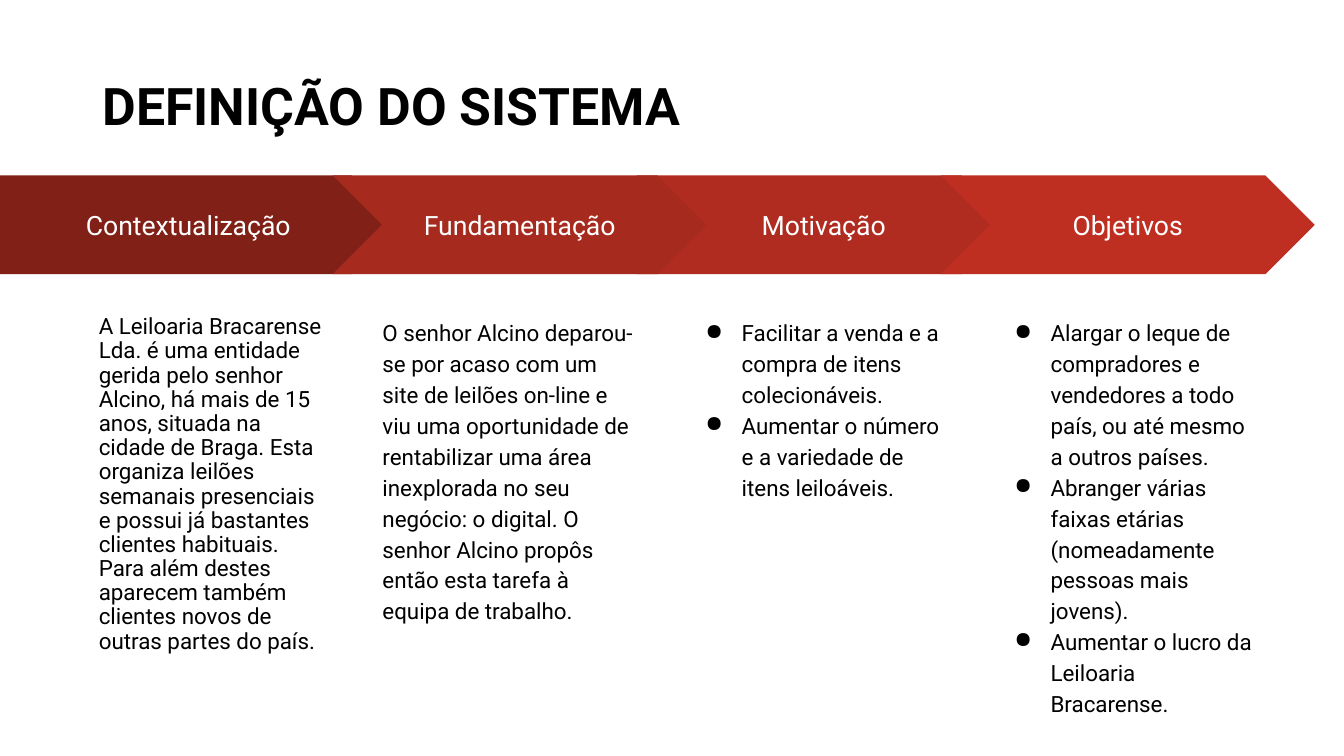
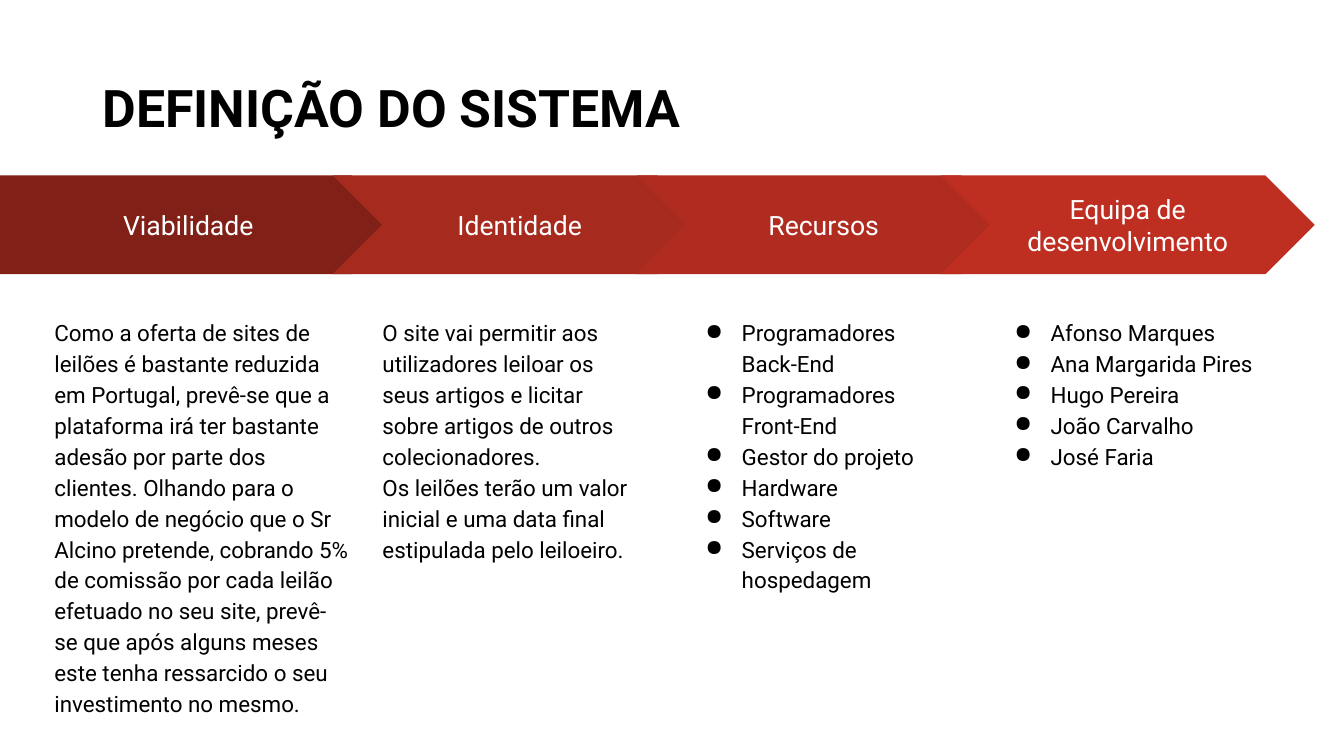
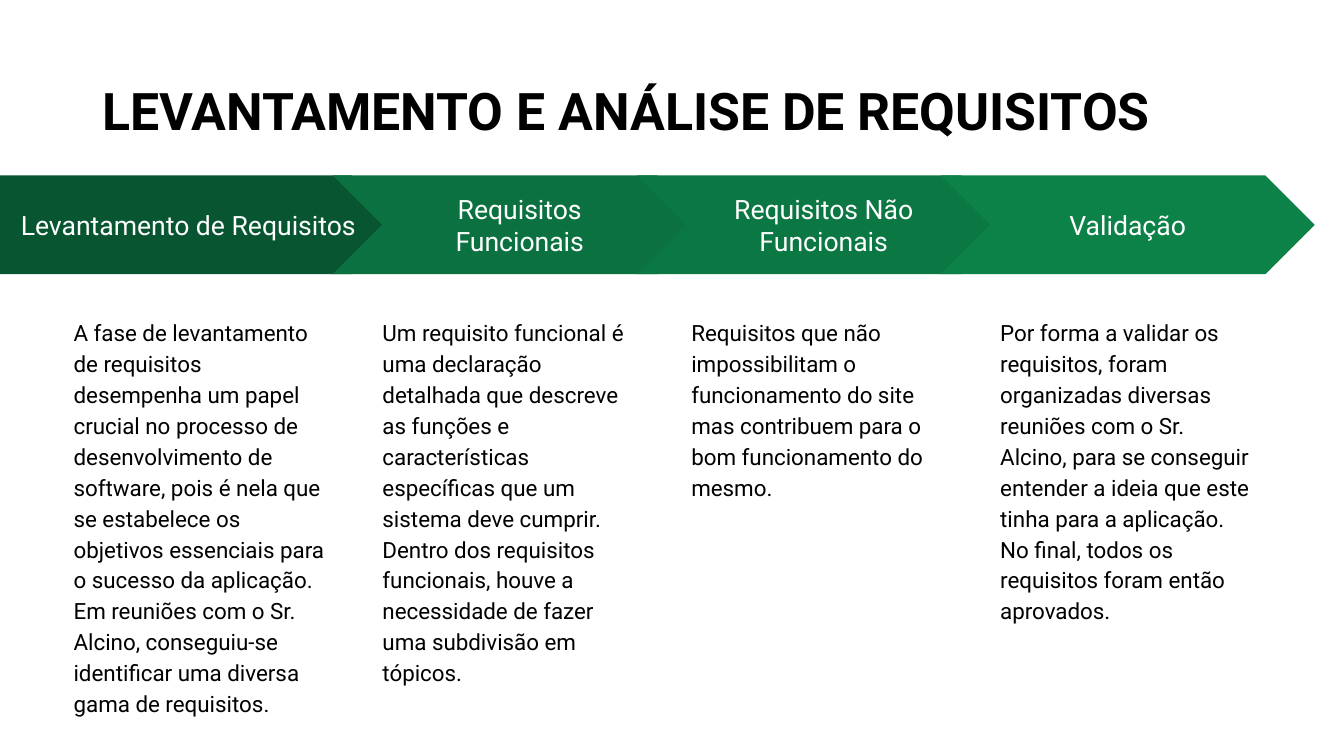
"""Builds three process slides with a title, an arrow band and four text columns."""
from lxml import etree
from pptx import Presentation
from pptx.dml.color import RGBColor
from pptx.enum.shapes import MSO_SHAPE
from pptx.enum.text import MSO_ANCHOR, PP_ALIGN
from pptx.oxml.ns import qn
from pptx.util import Inches, Pt

PENTAGON, CHEVRON = MSO_SHAPE.PENTAGON, MSO_SHAPE.CHEVRON
TOP, MIDDLE = MSO_ANCHOR.TOP, MSO_ANCHOR.MIDDLE
LEFT, CENTER = PP_ALIGN.LEFT, PP_ALIGN.CENTER

FONT = "Roboto"
BLACK = RGBColor(0x00, 0x00, 0x00)
WHITE = RGBColor(0xFF, 0xFF, 0xFF)
REDS = [RGBColor(0x80, 0x20, 0x17), RGBColor(0xA7, 0x2A, 0x1E),
        RGBColor(0xB0, 0x2C, 0x20), RGBColor(0xBE, 0x2F, 0x22)]
GREENS = [RGBColor(0x08, 0x56, 0x31), RGBColor(0x0B, 0x71, 0x40),
          RGBColor(0x0B, 0x77, 0x43), RGBColor(0x0C, 0x81, 0x48)]

BAND_TOP, BAND_HEIGHT = 1.74, 0.98
PLATE_WIDTH, CHEVRON_WIDTH = 3.98, 3.71
FIRST_CHEVRON, LAST_CHEVRON = 3.3, 9.33
FIRST_COLUMN, LAST_COLUMN = 0.6, 9.79
COLUMN_TOP, COLUMN_WIDTH, COLUMN_HEIGHT = 3, 2.78, 3.81

SLIDES = [
    {"title": "DEFINIÇÃO DO SISTEMA", "title_top": 0.35, "colors": REDS,
     "stacking": (0, 2, 3, 1),
     "columns": [
         {"heading": "Contextualização", "spacing": 0.9, "indent": 0.25,
          "text": ["A Leiloaria Bracarense Lda. é uma entidade gerida pelo senhor Alcino, "
                   "há mais de 15 anos, situada na cidade de Braga. Esta organiza leilões "
                   "semanais presenciais e possui já bastantes clientes habituais. Para além "
                   "destes aparecem também clientes novos de outras partes do país."]},
         {"heading": "Fundamentação",
          "text": ["O senhor Alcino deparou-se por acaso com um site de leilões on-line e viu "
                   "uma oportunidade de rentabilizar uma área inexplorada no seu negócio: "
                   "o digital. O senhor Alcino propôs então esta tarefa à equipa de trabalho."]},
         {"heading": "Motivação", "bullets": True,
          "text": ["Facilitar a venda e a compra de itens colecionáveis.",
                   "Aumentar o número e a variedade de itens leiloáveis."]},
         {"heading": "Objetivos", "bullets": True,
          "text": ["Alargar o leque de compradores e vendedores a todo país, ou até mesmo a "
                   "outros países.",
                   "Abranger várias faixas etárias (nomeadamente pessoas mais jovens).",
                   "Aumentar o lucro da Leiloaria Bracarense."]},
     ]},
    {"title": "DEFINIÇÃO DO SISTEMA", "title_top": 0.37, "colors": REDS,
     "stacking": (0, 1, 2, 3),
     "columns": [
         {"heading": "Viabilidade", "left": 0.41, "width": 3.19,
          "text": ["Como a oferta de sites de leilões é bastante reduzida em Portugal, prevê-se "
                   "que a plataforma irá ter bastante adesão por parte dos clientes. Olhando "
                   "para o modelo de negócio que o Sr Alcino pretende, cobrando 5% de comissão "
                   "por cada leilão efetuado no seu site, prevê-se que após alguns meses este "
                   "tenha ressarcido o seu investimento no mesmo."]},
         {"heading": "Identidade",
          "text": ["O site vai permitir aos utilizadores leiloar os seus artigos e licitar "
                   "sobre artigos de outros colecionadores.",
                   "Os leilões terão um valor inicial e uma data final estipulada pelo "
                   "leiloeiro."]},
         {"heading": "Recursos", "bullets": True,
          "text": ["Programadores Back-End", "Programadores Front-End", "Gestor do projeto",
                   "Hardware", "Software", "Serviços de hospedagem"]},
         {"heading": "Equipa de desenvolvimento", "bullets": True,
          "text": ["Afonso Marques", "Ana Margarida Pires", "Hugo Pereira", "João Carvalho",
                   "José Faria"]},
     ]},
    {"title": "LEVANTAMENTO E ANÁLISE DE REQUISITOS", "title_top": 0.4, "colors": GREENS,
     "stacking": (0, 1, 2, 3),
     "columns": [
         {"heading": "Levantamento de Requisitos",
          "text": ["A fase de levantamento de requisitos desempenha um papel crucial no processo "
                   "de desenvolvimento de software, pois é nela que se estabelece os objetivos "
                   "essenciais para o sucesso da aplicação.",
                   "Em reuniões com o Sr. Alcino, conseguiu-se identificar uma diversa gama de "
                   "requisitos."]},
         {"heading": "Requisitos Funcionais",
          "text": ["Um requisito funcional é uma declaração detalhada que descreve as funções e "
                   "características específicas que um sistema deve cumprir.",
                   "Dentro dos requisitos funcionais, houve a necessidade de fazer uma "
                   "subdivisão em tópicos."]},
         {"heading": "Requisitos Não Funcionais",
          "text": ["Requisitos que não impossibilitam o funcionamento do site mas contribuem "
                   "para o bom funcionamento do mesmo."]},
         {"heading": "Validação",
          "text": ["Por forma a validar os requisitos, foram organizadas diversas reuniões com o "
                   "Sr. Alcino, para se conseguir entender a ideia que este tinha para a "
                   "aplicação. No final, todos os requisitos foram então aprovados."]},
     ]},
]


def set_indent(para, left, hanging=0):
    properties = para._p.get_or_add_pPr()
    properties.set("marL", str(Inches(left)))
    properties.set("indent", str(Inches(-hanging)))


def add_bullet(para):
    set_indent(para, 0.5, 0.36)
    properties = para._p.get_or_add_pPr()
    color = etree.SubElement(properties, qn("a:buClr"))
    etree.SubElement(color, qn("a:srgbClr")).set("val", str(BLACK))
    etree.SubElement(properties, qn("a:buChar")).set("char", "●")


def write(shape, lines, size, color=BLACK, bold=False, align=LEFT, anchor=TOP,
          spacing=1.0, inset=(0.13, 0.13), bullets=False, indent=0):
    frame = shape.text_frame
    frame.word_wrap = True
    frame.vertical_anchor = anchor
    frame.margin_left = frame.margin_right = Inches(inset[0])
    frame.margin_top = frame.margin_bottom = Inches(inset[1])
    for index, line in enumerate(lines):
        para = frame.add_paragraph() if index else frame.paragraphs[0]
        para.text = line
        if bullets:
            add_bullet(para)
        elif indent:
            set_indent(para, indent)
        para.alignment = align
        para.line_spacing = spacing
        para.font.name = FONT
        para.font.size = Pt(size)
        para.font.bold = bold
        para.font.color.rgb = color


def add_title(page, title, top):
    box = page.shapes.add_textbox(Inches(0.92), Inches(top), Inches(11.5), Inches(1.45))
    write(box, [title], 37, bold=True, anchor=MIDDLE, spacing=0.9, inset=(0.1, 0.05))


def add_arrow(page, index, heading, color):
    kind, left, width = PENTAGON, 0, PLATE_WIDTH
    if index:
        step = (LAST_CHEVRON - FIRST_CHEVRON) / 2
        kind, left, width = CHEVRON, FIRST_CHEVRON + (index - 1) * step, CHEVRON_WIDTH
    arrow = page.shapes.add_shape(kind, Inches(left), Inches(BAND_TOP),
                                  Inches(width), Inches(BAND_HEIGHT))
    arrow.shadow.inherit = False
    arrow.fill.solid()
    arrow.fill.fore_color.rgb = color
    arrow.line.fill.background()
    write(arrow, [heading], 19, color=WHITE, align=CENTER, anchor=MIDDLE)


def add_column(page, index, column):
    left = column.get("left", FIRST_COLUMN + index * (LAST_COLUMN - FIRST_COLUMN) / 3)
    box = page.shapes.add_textbox(Inches(left), Inches(COLUMN_TOP),
                                  Inches(column.get("width", COLUMN_WIDTH)),
                                  Inches(COLUMN_HEIGHT))
    write(box, column["text"], 16, spacing=column.get("spacing", 1.15),
          bullets=column.get("bullets", False), indent=column.get("indent", 0))


def main():
    deck = Presentation()
    deck.slide_width, deck.slide_height = Inches(13.33), Inches(7.5)
    for content in SLIDES:
        page = deck.slides.add_slide(deck.slide_layouts[6])
        add_title(page, content["title"], content["title_top"])
        for index in content["stacking"]:
            column = content["columns"][index]
            add_arrow(page, index, column["heading"], content["colors"][index])
            add_column(page, index, column)
    deck.save("out.pptx")


if __name__ == "__main__":
    main()
